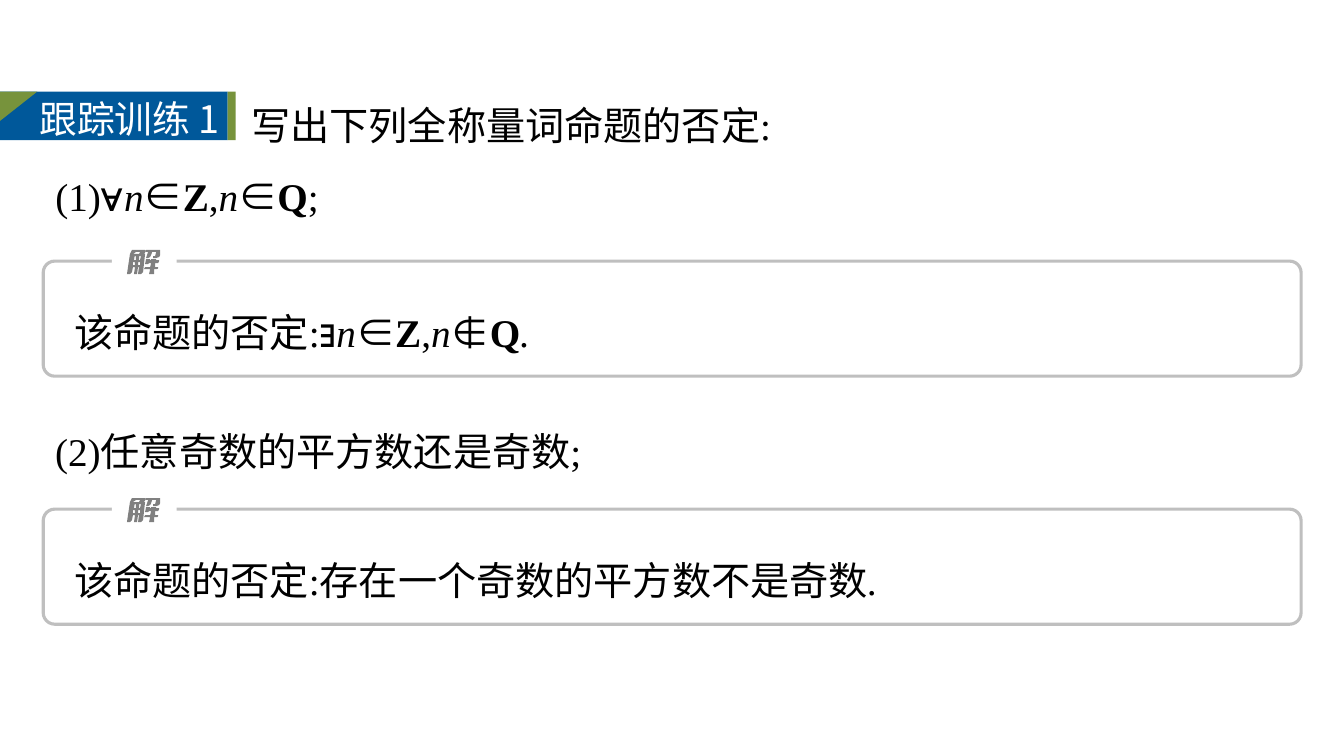
from lxml.etree import SubElement
from pptx import Presentation
from pptx.dml.color import RGBColor
from pptx.enum.shapes import MSO_SHAPE
from pptx.enum.text import MSO_ANCHOR, MSO_AUTO_SIZE, PP_ALIGN
from pptx.oxml.ns import qn
from pptx.util import Cm, Pt

BLUE, GREEN, WHITE, BLACK = "00589A", "77933C", "FFFFFF", "000000"
FRAME_GREY, LABEL_GREY = "BFBFBF", "808080"
CJK = "Noto Sans CJK SC"
BODY = {"name": "Times New Roman", "size": Pt(28), "bold": False, "italic": False}
BADGE = {"name": CJK, "size": Pt(27)}
ITALIC, BOLD = {"italic": True}, {"bold": True}
N, IN, NOT_IN = ("n", ITALIC), ("∈", {"name": CJK}), ("∉", {"name": "Noto Sans CJK JP"})
Z, Q = ("Z", BOLD), ("Q", BOLD)

# Outlines of the character 解, in hundredths of an inch
LABEL_OUTLINES = [
    [(11, 12), (11, 15), (13, 15), (13, 12)],
    [(6, 12), (6, 15), (8, 15), (8, 12)],
    [(25, 9), (29, 9), (29, 10), (32, 10), (32, 11), (31, 13), (28, 13), (28, 17),
     (31, 17), (31, 18), (30, 19), (27, 19), (27, 24), (22, 24), (23, 19), (17, 19),
     (18, 17), (23, 17), (24, 13), (22, 13), (21, 14), (18, 14), (19, 9), (23, 9),
     (23, 10), (24, 10), (24, 9)],
    [(12, 6), (12, 10), (13, 10), (14, 6)],
    [(20, 0), (33, 0), (33, 5), (32, 7), (29, 8), (26, 8), (26, 6), (28, 6), (29, 2),
     (25, 2), (24, 5), (23, 7), (21, 8), (19, 8), (21, 2), (19, 2), (19, 0)],
    [(5, 0), (18, 0), (19, 1), (17, 4), (18, 4), (16, 22), (15, 23), (14, 24),
     (11, 24), (12, 17), (11, 17), (10, 24), (7, 24), (8, 17), (6, 17), (5, 22),
     (4, 23), (3, 24), (0, 24), (3, 4), (8, 4), (7, 10), (9, 10), (9, 6), (8, 6),
     (8, 4), (12, 4), (13, 2), (9, 2), (6, 4), (3, 4)],
]


def rgb(value):
    return RGBColor.from_string(value)


def paint(sp, fill=None, line=None):
    sp.shadow.inherit = False
    if fill:
        sp.fill.solid()
        sp.fill.fore_color.rgb = rgb(fill)
    else:
        sp.fill.background()
    if line:
        sp.line.color.rgb = rgb(line)
        sp.line.width = Pt(2.25)
    else:
        sp.line.fill.background()


def add_block(shapes, kind, box, fill=None, line=None):
    sp = shapes.add_shape(kind, *map(Cm, box))
    paint(sp, fill, line)
    return sp


def write(sp, paragraphs, base=BODY, color=BLACK, spacing=1.5):
    """Fill a text shape; each paragraph is a list of (text, format changes)."""
    tf = sp.text_frame
    tf.word_wrap = True
    tf.auto_size = MSO_AUTO_SIZE.SHAPE_TO_FIT_TEXT
    tf.vertical_anchor = MSO_ANCHOR.TOP
    for i, runs in enumerate(paragraphs):
        p = tf.add_paragraph() if i else tf.paragraphs[0]
        p.alignment = PP_ALIGN.LEFT
        p.line_spacing = spacing
        for text, changes in runs:
            r = p.add_run()
            r.text = text
            r.font.color.rgb = rgb(color)
            for name, value in {**base, **changes}.items():
                setattr(r.font, name, value)
            SubElement(r.font._element, qn("a:ea"), typeface=CJK)


def add_text(shapes, box, runs, **style):
    write(shapes.add_textbox(*map(Cm, box)), [runs], **style)


def place_title(slide, box, paragraphs, indent):
    """Put the task in the title, its first line indented past the badge."""
    title = slide.shapes.title
    title.left, title.top, title.width, title.height = map(Cm, box)
    write(title, paragraphs)
    pPr = title.text_frame.paragraphs[0]._p.get_or_add_pPr()
    pPr.set("indent", str(Cm(indent)))


def add_badge(slide, box, text):
    x, y, w, h = box
    stripe = 0.2
    shapes = slide.shapes.add_group_shape().shapes
    add_block(shapes, MSO_SHAPE.RECTANGLE, (x, y, w - stripe, h), BLUE)
    corner = add_block(shapes, MSO_SHAPE.RIGHT_TRIANGLE, (x, y, 0.94, 0.74), GREEN)
    corner._element.spPr.xfrm.set("flipV", "1")
    add_text(shapes, (x + 0.74, y - 0.02, 5.41, 1.32), [(text, {})],
             base=BADGE, color=WHITE, spacing=1.0)
    add_block(shapes, MSO_SHAPE.RECTANGLE, (x + w - stripe, y, stripe, h), GREEN)


def add_label(shapes, x, y):
    first, *others = LABEL_OUTLINES
    builder = shapes.build_freeform(*first[0], scale=Cm(2.54) / 100)
    builder.add_line_segments(first[1:])
    for outline in others:
        builder.move_to(*outline[0])
        builder.add_line_segments(outline[1:])
    paint(builder.convert_to_shape(Cm(x), Cm(y)), LABEL_GREY)


def add_answer(slide, box, runs):
    x, y, w, h = box
    add_text(slide.shapes, (x + 0.53, y + 0.46, w - 1.07, 1.85), runs)
    shapes = slide.shapes.add_group_shape().shapes
    frame = add_block(shapes, MSO_SHAPE.ROUNDED_RECTANGLE, box, line=FRAME_GREY)
    frame.adjustments[0] = 0.1
    add_block(shapes, MSO_SHAPE.RECTANGLE, (x + 1.73, y - 0.3, 1.63, 0.61), WHITE)
    add_label(shapes, x + 2.11, y - 0.28)


def main():
    prs = Presentation()
    prs.slide_width, prs.slide_height = Cm(33.87), Cm(19.05)
    slide = prs.slides.add_slide(prs.slide_layouts[5])

    place_title(slide, (1.14, 1.83, 31.5, 3.63), [
        [("写出下列全称量词命题的否定:", {})],
        [("(1)∀", {}), N, IN, Z, (",", {}), N, IN, Q, (";", {})],
    ], indent=4.94)
    add_badge(slide, (0, 2.31, 5.94, 1.22), "跟踪训练 1")
    add_answer(slide, (1.09, 6.58, 31.7, 2.9), [
        ("该命题的否定:∃", {}), N, IN, Z, (",", {}), N, NOT_IN, Q, (".", ITALIC)])
    add_text(slide.shapes, (1.14, 10.06, 31.5, 1.85),
             [("(2)任意奇数的平方数还是奇数;", {})])
    add_answer(slide, (1.09, 12.83, 31.7, 2.9), [
        ("该命题的否定:存在一个奇数的平方数不是奇数", {}), (".", ITALIC)])

    prs.save("out.pptx")


if __name__ == "__main__":
    main()
